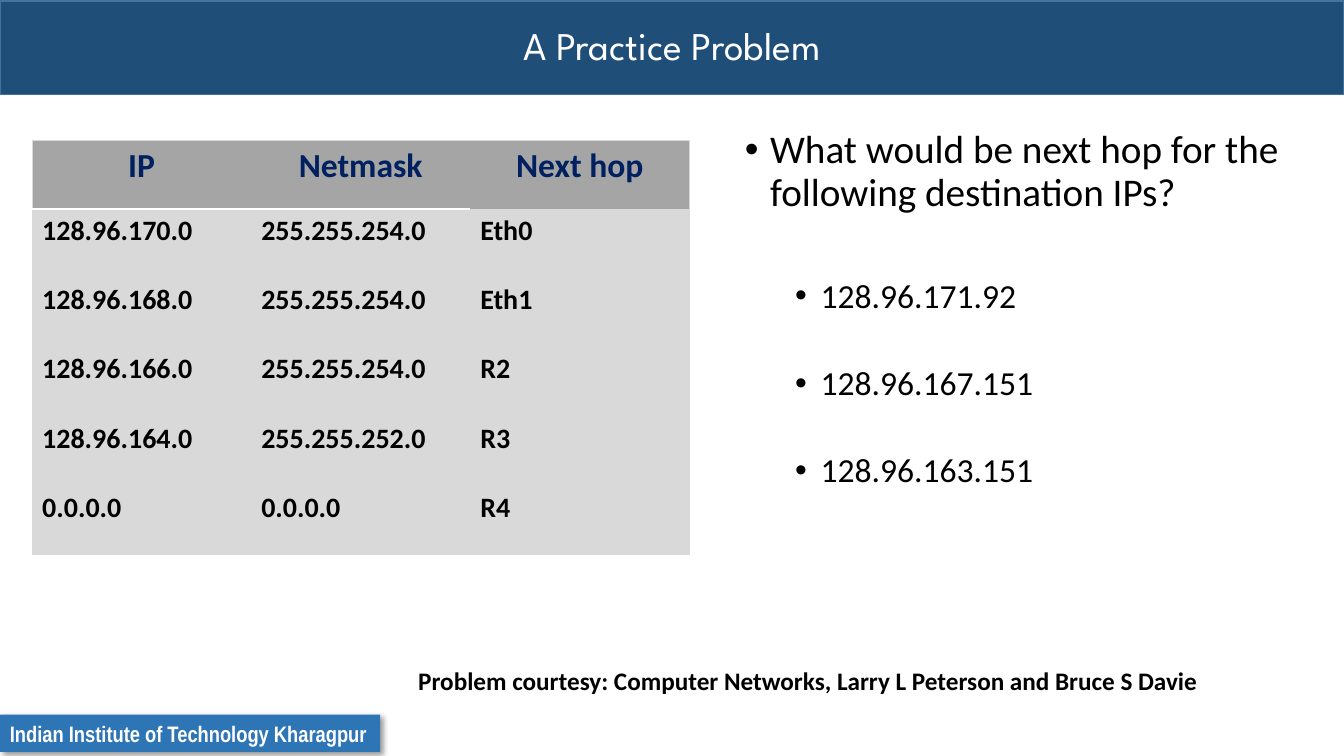
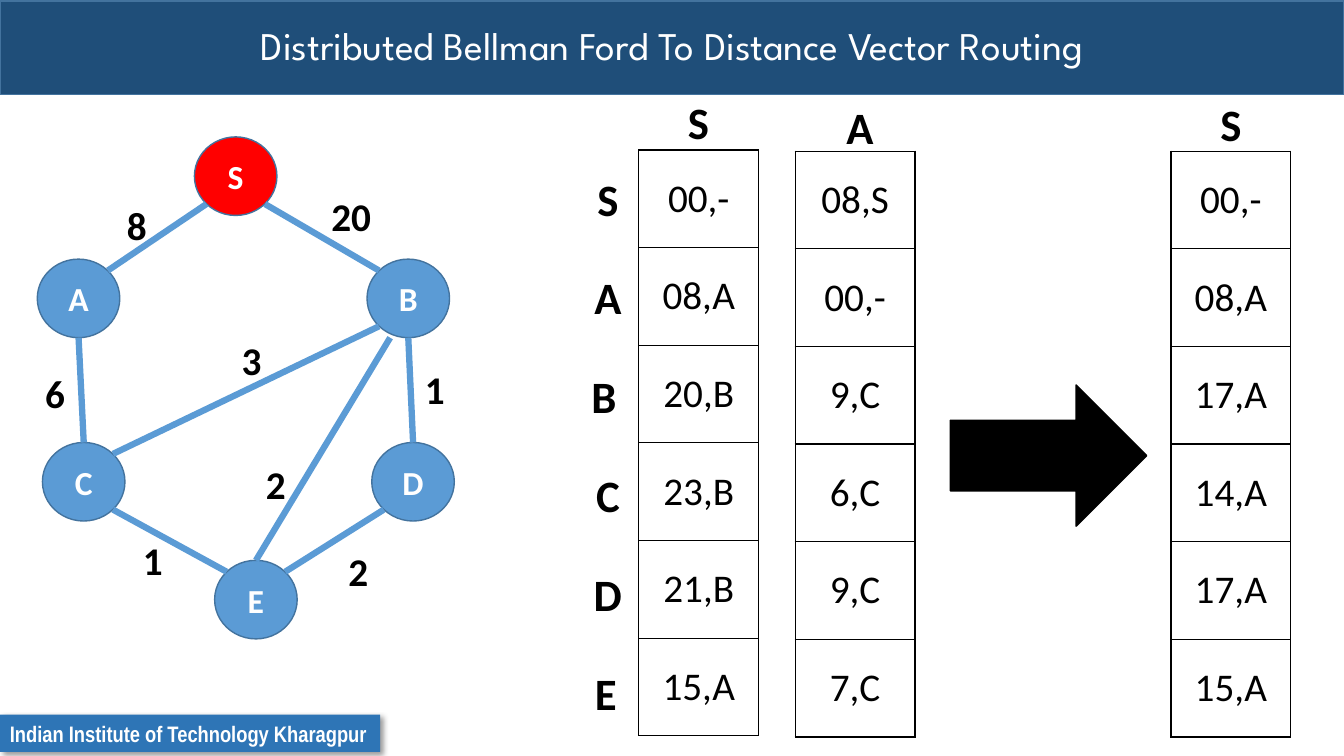
from lxml import etree
from pptx import Presentation
from pptx.dml.color import RGBColor
from pptx.enum.shapes import MSO_CONNECTOR, MSO_SHAPE
from pptx.enum.text import MSO_ANCHOR, PP_ALIGN
from pptx.oxml import parse_xml
from pptx.oxml.ns import nsdecls, qn
from pptx.util import Cm, Pt

LEFT, CENTER = PP_ALIGN.LEFT, PP_ALIGN.CENTER
TOP, MIDDLE = MSO_ANCHOR.TOP, MSO_ANCHOR.MIDDLE
RECTANGLE, OVAL, RIGHT_ARROW = MSO_SHAPE.RECTANGLE, MSO_SHAPE.OVAL, MSO_SHAPE.RIGHT_ARROW
STRAIGHT = MSO_CONNECTOR.STRAIGHT

COLORS = {
    "band": "1F4E79", "outline": "43739E", "footer": "2E75B6",
    "white": "FFFFFF", "black": "000000", "navy": "002060",
    "header": "A5A5A5", "body": "D9D9D9", "frame": "D8D8D8",
    "node": "5B9BD5", "source": "FF0000",
}
RGB = {name: RGBColor.from_string(value) for name, value in COLORS.items()}


def write(frame, text, size, color="black", font="Calibri", bold=False, align=LEFT,
          anchor=TOP, wrap=True, spacing=None, before=None, bullet_at=None):
    """Fill the empty first paragraph of a text frame, or add another one."""
    frame.word_wrap = wrap
    frame.vertical_anchor = anchor
    para = frame.paragraphs[0] if not frame.text else frame.add_paragraph()
    para.alignment = align
    if spacing:
        para.line_spacing = spacing
    if before:
        para.space_before = Pt(before)
    if bullet_at:
        properties = para._p.get_or_add_pPr()
        properties.set("marL", str(Cm(bullet_at)))
        properties.set("indent", str(-Cm(0.64)))
        etree.SubElement(properties, qn("a:buFont")).set("typeface", "Arial")
        etree.SubElement(properties, qn("a:buChar")).set("char", "•")
    span = para.add_run()
    span.text = text
    span.font.name = font
    span.font.size = Pt(size)
    span.font.bold = bold
    span.font.color.rgb = RGB[color]


def set_borders(cell, **sides):
    """Draw the given sides (L, R, T, B) as (color, points); clear the others."""
    properties = cell._tc.get_or_add_tcPr()
    for side in "LRTB":
        line = etree.SubElement(properties, qn(f"a:ln{side}"))
        if side in sides:
            color, points = sides[side]
            line.set("w", str(Pt(points)))
            fill = etree.SubElement(line, qn("a:solidFill"))
            etree.SubElement(fill, qn("a:srgbClr")).set("val", COLORS[color])
        else:
            etree.SubElement(line, qn("a:noFill"))


deck = Presentation()
deck.slide_width, deck.slide_height = Cm(33.87), Cm(19.05)

# Shared title band and footer
pages = []
for title in ("A Practice Problem", "Distributed Bellman Ford To Distance Vector Routing"):
    page = deck.slides.add_slide(deck.slide_layouts[6])
    band = page.shapes.add_shape(RECTANGLE, 0, Cm(0.03), deck.slide_width, Cm(2.36))
    band.shadow.inherit = False
    band.fill.solid()
    band.fill.fore_color.rgb = RGB["band"]
    band.line.color.rgb = RGB["outline"]
    band.line.width = Pt(1)
    write(band.text_frame, title, 28, color="white", font="League Spartan",
          align=CENTER, anchor=MIDDLE, spacing=0.9)

    footer = page.shapes.add_shape(RECTANGLE, 0, Cm(18.01), Cm(9.58), Cm(0.94))
    footer.shadow.inherit = False
    footer.fill.solid()
    footer.fill.fore_color.rgb = RGB["footer"]
    footer.line.fill.background()
    footer._element.spPr.find(qn("a:effectLst")).append(parse_xml(
        f'<a:outerShdw {nsdecls("a")} blurRad="{Pt(4)}" dist="{Pt(3)}" dir="2700000">'
        f'<a:srgbClr val="{COLORS["black"]}"><a:alpha val="40000"/></a:srgbClr></a:outerShdw>'))
    write(footer.text_frame, "Indian Institute of Technology Kharagpur", 16,
          color="white", font="Arial Narrow", bold=True, wrap=False)
    pages.append(page)
problem_page, routing_page = pages

# Question with its destination addresses
box = problem_page.shapes.add_textbox(Cm(18.52), Cm(3.15), Cm(14.58), Cm(14.86))
write(box.text_frame, "What would be next hop for the following destination IPs?", 28,
      spacing=0.9, bullet_at=0.64)
for address, gap in (("128.96.171.92", 46), ("128.96.167.151", 36.5), ("128.96.163.151", 36.5)):
    write(box.text_frame, address, 24, spacing=0.9, before=gap, bullet_at=1.91)

# Forwarding table
forwarding_rows = [
    ("IP", "Netmask", "Next hop"),
    ("128.96.170.0", "255.255.254.0", "Eth0"),
    ("128.96.168.0", "255.255.254.0", "Eth1"),
    ("128.96.166.0", "255.255.254.0", "R2"),
    ("128.96.164.0", "255.255.252.0", "R3"),
    ("0.0.0.0", "0.0.0.0", "R4"),
]
table = problem_page.shapes.add_table(
    6, 3, Cm(0.81), Cm(3.53), Cm(16.56), Cm(10.44)).table
for row, values in enumerate(forwarding_rows):
    table.rows[row].height = Cm(1.74)
    for column, value in enumerate(values):
        cell = table.cell(row, column)
        sides = {}
        if column == 0:
            sides["L"] = ("frame", 0.5)
        if column == 2:
            sides["R"] = ("frame", 0.5)
        if row == 0:
            sides["T"] = ("frame", 0.5)
        if row == 5:
            sides["B"] = ("frame", 0.5)
        if row < 2 and column < 2:  # rule below the first two headings
            sides["B" if row == 0 else "T"] = ("white", 1.5)
        set_borders(cell, **sides)
        cell.fill.solid()
        cell.fill.fore_color.rgb = RGB["body" if row else "header"]
        if row:
            write(cell.text_frame, value, 20, bold=True)
        else:
            write(cell.text_frame, value, 24, color="navy", bold=True, align=CENTER)

# Credit for the problem
box = problem_page.shapes.add_textbox(Cm(10.29), Cm(16.64), Cm(20.32), Cm(1.02))
write(box.text_frame, "Problem courtesy: Computer Networks, Larry L Peterson and Bruce S Davie",
      18, bold=True, wrap=False)

# Network nodes
NODE_WIDTH, NODE_HEIGHT = 2.08, 1.98
nodes = {"S": (4.9, 3.45), "A": (0.94, 6.53), "B": (9.25, 6.53),
         "C": (1.07, 11.15), "D": (9.37, 11.15), "E": (5.41, 14.12)}
for name, (left, top) in nodes.items():
    node = routing_page.shapes.add_shape(
        OVAL, Cm(left), Cm(top), Cm(NODE_WIDTH), Cm(NODE_HEIGHT))
    node.shadow.inherit = False
    node.fill.solid()
    node.fill.fore_color.rgb = RGB["source" if name == "S" else "node"]
    node.line.color.rgb = RGB["outline"]
    node.line.width = Pt(1)
    write(node.text_frame, name, 24, color="white", bold=True, align=CENTER, anchor=MIDDLE)

# Links run between points on the node rims; each has a cost label at left, top
RIM = {"top": (0, -1), "bottom": (0, 1), "lower middle": (-0.44, 1),
       "upper left": (-0.71, -0.71), "upper right": (0.71, -0.71),
       "lower left": (-0.71, 0.71), "lower right": (0.71, 0.71)}
links = [
    ("S", "lower left", "A", "upper right", "8", 2.95, 4.95),
    ("S", "lower right", "B", "upper left", "20", 8.1, 4.72),
    ("A", "bottom", "C", "top", "6", 0.89, 9.17),
    ("C", "upper right", "B", "lower left", "3", 5.84, 8.36),
    ("C", "lower right", "E", "upper left", "1", 3.35, 13.39),
    ("E", "upper right", "D", "lower left", "2", 8.53, 13.67),
    ("D", "top", "B", "bottom", "1", 10.46, 9.09),
    ("E", "top", "B", "lower middle", "2", 6.45, 11.48),
]
for start, start_rim, end, end_rim, cost, left, top in links:
    ends = []
    for name, rim in ((start, start_rim), (end, end_rim)):
        ends.append(Cm(nodes[name][0] + NODE_WIDTH / 2 * (1 + RIM[rim][0])))
        ends.append(Cm(nodes[name][1] + NODE_HEIGHT / 2 * (1 + RIM[rim][1])))
    link = routing_page.shapes.add_connector(STRAIGHT, *ends)
    link.line.color.rgb = RGB["node"]
    link.line.width = Pt(4.5)
    etree.SubElement(link._element.spPr, qn("a:effectLst"))
    box = routing_page.shapes.add_textbox(
        Cm(left), Cm(top), Cm(0.52 + 0.5 * len(cost)), Cm(1.45))
    write(box.text_frame, cost, 28, bold=True, wrap=False)

# Distance vectors
vectors = [
    (16.1, 3.78, ["00,-", "08,A", "20,B", "23,B", "21,B", "15,A"]),
    (20.04, 3.81, ["08,S", "00,-", "9,C", "6,C", "9,C", "7,C"]),
    (29.51, 3.81, ["00,-", "08,A", "17,A", "14,A", "17,A", "15,A"]),
]
for left, top, entries in vectors:
    table = routing_page.shapes.add_table(
        6, 1, Cm(left), Cm(top), Cm(3.02), Cm(14.76)).table
    table.first_row = table.horz_banding = False
    for row, entry in enumerate(entries):
        table.rows[row].height = Cm(2.46)
        cell = table.cell(row, 0)
        set_borders(cell, **{side: ("black", 1) for side in "LRTB"})
        cell.fill.background()
        write(cell.text_frame, entry, 28, align=CENTER)
        cell.vertical_anchor = MIDDLE

# Column and row headings of the vectors
headings = [("S", 16.43, 2.26), ("A", 20.5, 2.39), ("S", 29.85, 2.31)]
row_lefts = (14.15, 14.15, 14.05, 14.15, 14.15, 14.1)
headings += [(name, left, 4.19 + 2.49 * row)
             for row, (name, left) in enumerate(zip("SABCDE", row_lefts))]
for name, left, top in headings:
    box = routing_page.shapes.add_textbox(Cm(left), Cm(top), Cm(2.34), Cm(1.63))
    write(box.text_frame, name, 32, bold=True, align=CENTER)

# Arrow to the updated vector
arrow = routing_page.shapes.add_shape(RIGHT_ARROW, Cm(23.95), Cm(9.7), Cm(4.95), Cm(3.56))
arrow.shadow.inherit = False
arrow.fill.solid()
arrow.fill.fore_color.rgb = RGB["black"]
arrow.line.color.rgb = RGB["black"]
arrow.line.width = Pt(1)

deck.save("out.pptx")
